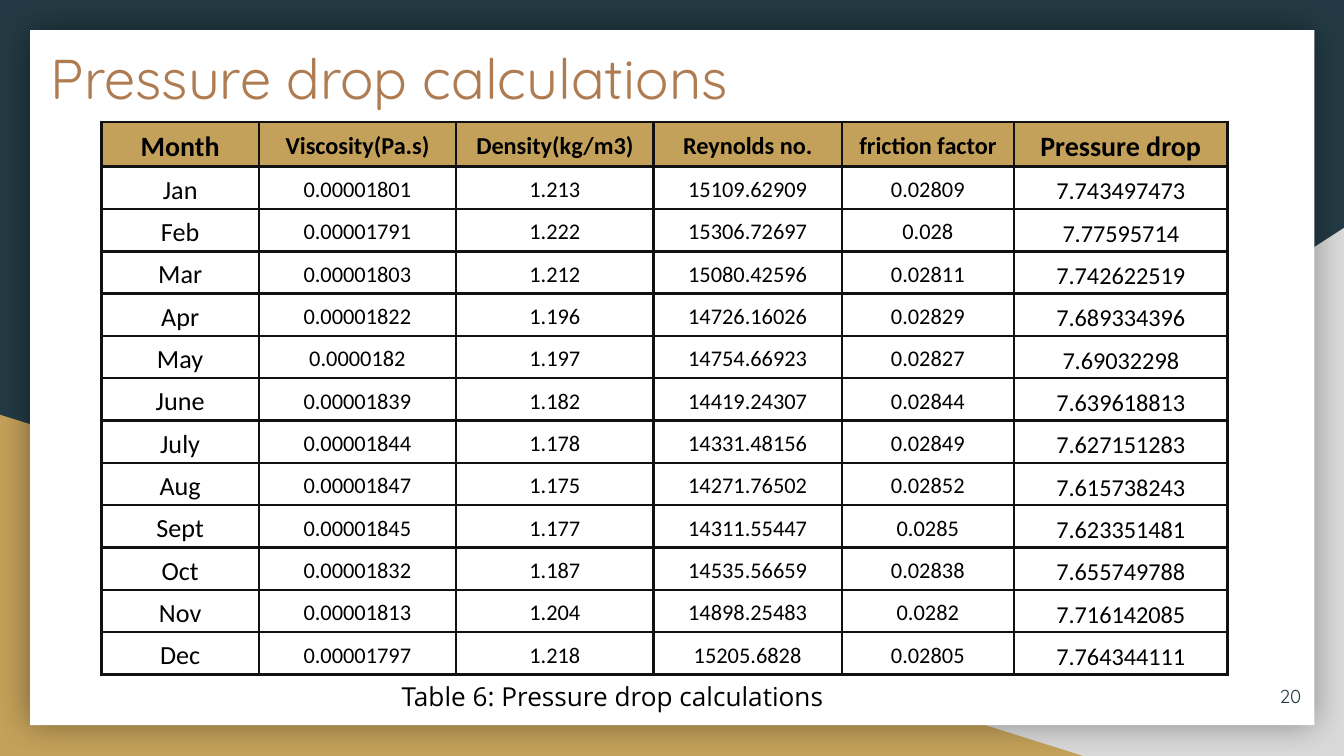
from lxml import etree
from pptx import Presentation
from pptx.dml.color import RGBColor
from pptx.enum.shapes import MSO_SHAPE
from pptx.enum.text import MSO_ANCHOR, PP_ALIGN
from pptx.oxml import parse_xml
from pptx.oxml.ns import nsdecls, qn
from pptx.util import Cm, Pt

NAVY = RGBColor(0x23, 0x3A, 0x44)
GOLD = RGBColor(0xC4, 0xA1, 0x5A)
GREY = RGBColor(0xD9, 0xD9, 0xD9)
WHITE = RGBColor(0xFF, 0xFF, 0xFF)
BROWN = RGBColor(0xAF, 0x7B, 0x51)
BLACK = RGBColor(0, 0, 0)
BORDER = RGBColor(0x11, 0x11, 0x11)

# Content
TITLE = "Pressure drop calculations"
CAPTION = "Table 6: Pressure drop calculations"
PAGE = "20"
# heading, column width in cm, heading size, body size, body anchor
COLUMNS = [
    ("Month", 2.97, 15, 14, MSO_ANCHOR.MIDDLE),
    ("Viscosity(Pa.s)", 3.73, 13, 12, MSO_ANCHOR.MIDDLE),
    ("Density(kg/m3)", 3.73, 13, 12, MSO_ANCHOR.MIDDLE),
    ("Reynolds no.", 3.56, 13, 12, MSO_ANCHOR.MIDDLE),
    ("friction factor", 3.25, 13, 12, MSO_ANCHOR.MIDDLE),
    ("Pressure drop", 4.04, 15, 13, MSO_ANCHOR.BOTTOM),
]
MONTHS = [
    ("Jan", "0.00001801", "1.213", "15109.62909", "0.02809", "7.743497473"),
    ("Feb", "0.00001791", "1.222", "15306.72697", "0.028", "7.77595714"),
    ("Mar", "0.00001803", "1.212", "15080.42596", "0.02811", "7.742622519"),
    ("Apr", "0.00001822", "1.196", "14726.16026", "0.02829", "7.689334396"),
    ("May", "0.0000182", "1.197", "14754.66923", "0.02827", "7.69032298"),
    ("June", "0.00001839", "1.182", "14419.24307", "0.02844", "7.639618813"),
    ("July", "0.00001844", "1.178", "14331.48156", "0.02849", "7.627151283"),
    ("Aug", "0.00001847", "1.175", "14271.76502", "0.02852", "7.615738243"),
    ("Sept", "0.00001845", "1.177", "14311.55447", "0.0285", "7.623351481"),
    ("Oct", "0.00001832", "1.187", "14535.56659", "0.02838", "7.655749788"),
    ("Nov", "0.00001813", "1.204", "14898.25483", "0.0282", "7.716142085"),
    ("Dec", "0.00001797", "1.218", "15205.6828", "0.02805", "7.764344111"),
]
HEADER_HEIGHT, ROW_HEIGHT = 0.84, 0.8


def add_panel(s, kind, box, color):
    sp = s.shapes.add_shape(kind, *map(Cm, box))
    sp.shadow.inherit = False
    sp.fill.solid()
    sp.fill.fore_color.rgb = color
    sp.line.fill.background()
    return sp


def add_run(p, text, font, size, color, bold=False):
    r = p.add_run()
    r.text = text
    r.font.name, r.font.size, r.font.bold = font, Pt(size), bold
    r.font.color.rgb = color


def add_label(s, box, text, font, size, color,
              align=PP_ALIGN.LEFT, anchor=MSO_ANCHOR.TOP):
    tf = s.shapes.add_textbox(*map(Cm, box)).text_frame
    tf.word_wrap = True
    tf.vertical_anchor = anchor
    tf.margin_left = tf.margin_right = tf.margin_top = tf.margin_bottom = Cm(0.25)
    p = tf.paragraphs[0]
    p.alignment = align
    add_run(p, text, font, size, color)


def add_borders(cell):
    props = cell._tc.get_or_add_tcPr()
    for i, side in enumerate(("lnL", "lnR", "lnT", "lnB")):
        props.insert(i, parse_xml(
            f'<a:{side} {nsdecls("a")} w="{Pt(1.5)}"><a:solidFill>'
            f'<a:srgbClr val="{BORDER}"/></a:solidFill></a:{side}>'))


def fill_cell(cell, text, size, anchor, header):
    if header:
        cell.fill.solid()
        cell.fill.fore_color.rgb = GOLD
    else:
        cell.fill.background()
    cell.vertical_anchor = anchor
    cell.margin_left = cell.margin_right = Cm(0.08)
    cell.margin_top = cell.margin_bottom = Cm(0.05)
    p = cell.text_frame.paragraphs[0]
    p.alignment, p.line_spacing = PP_ALIGN.CENTER, 1.15
    add_run(p, text, "Calibri", size, BLACK, bold=header)
    add_borders(cell)


prs = Presentation()
prs.slide_width, prs.slide_height = Cm(25.4), Cm(14.29)
s = prs.slides.add_slide(prs.slide_layouts[6])

# Background with corner triangles and a shadowed white panel
s.background.fill.solid()
s.background.fill.fore_color.rgb = NAVY
corner = add_panel(s, MSO_SHAPE.RIGHT_TRIANGLE, (9.96, 4.31, 15.44, 9.98), GREY)
corner._element.spPr.find(qn("a:xfrm")).set("flipH", "1")
add_panel(s, MSO_SHAPE.RIGHT_TRIANGLE, (0, 7.84, 20.47, 6.45), GOLD)
panel = add_panel(s, MSO_SHAPE.RECTANGLE, (0.57, 0.57, 24.27, 13.14), WHITE)
effects = panel._element.spPr.find(qn("a:effectLst"))
shadow = etree.SubElement(effects, qn("a:outerShdw"), blurRad=str(Pt(18)),
                          algn="ctr", rotWithShape="0")
tint = etree.SubElement(shadow, qn("a:srgbClr"), val=str(BLACK))
etree.SubElement(tint, qn("a:alpha"), val="40000")

# Title and page number
add_label(s, (0.71, 0.58, 23.67, 2.31), TITLE, "Quicksand", 30, BROWN)
add_label(s, (23.32, 12.62, 1.52, 1.09), PAGE, "Quicksand", 10, NAVY,
          PP_ALIGN.RIGHT, MSO_ANCHOR.MIDDLE)

# Monthly table
width = sum(column[1] for column in COLUMNS)
height = HEADER_HEIGHT + ROW_HEIGHT * len(MONTHS)
table = s.shapes.add_table(len(MONTHS) + 1, len(COLUMNS), Cm(1.92), Cm(2.31),
                           Cm(width), Cm(height)).table
for i, row in enumerate(table.rows):
    row.height = Cm(ROW_HEIGHT if i else HEADER_HEIGHT)
for c, (heading, col_width, head_size, body_size, anchor) in enumerate(COLUMNS):
    table.columns[c].width = Cm(col_width)
    fill_cell(table.cell(0, c), heading, head_size, MSO_ANCHOR.MIDDLE, True)
    for i, month in enumerate(MONTHS, 1):
        fill_cell(table.cell(i, c), month[c], body_size, anchor, False)

# Caption
add_label(s, (7.34, 12.62, 12.04, 1.12), CAPTION, "Open Sans", 14, BLACK)

prs.save("out.pptx")
